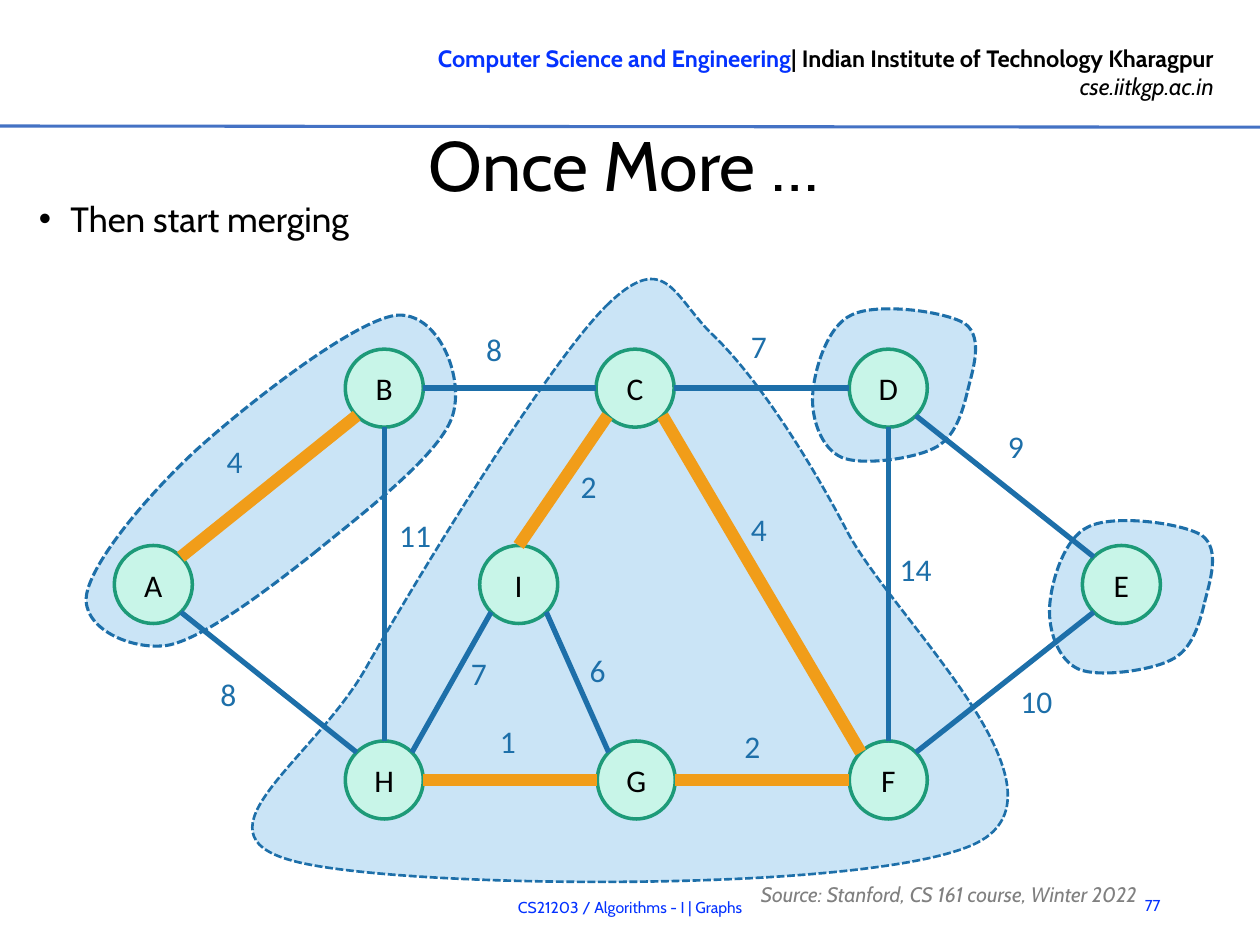
import math

import lxml.etree
import pptx
import pptx.dml.color
import pptx.enum.dml
import pptx.enum.shapes
import pptx.enum.text
import pptx.oxml.ns
import pptx.util

Pt = pptx.util.Pt
qn = pptx.oxml.ns.qn
ALIGN = pptx.enum.text.PP_ALIGN
MIDDLE = pptx.enum.text.MSO_ANCHOR.MIDDLE

BLACK, GREY, LINK_BLUE, RULE_BLUE = "000000", "808080", "0432FF", "4472C4"
EDGE_BLUE, TREE_ORANGE, CLUSTER_FILL = "1D6FA9", "F19D19", "CAE4F6"
NODE_FILL, NODE_LINE = "C8F5E8", "1D9A78"

RADIUS = 22.3
NODES = {
    "D": (459.6, 77.8), "C": (314.9, 77.8), "B": (171.6, 77.8),
    "A": (39.6, 190), "H": (171.6, 301.7), "G": (315.6, 301.7),
    "F": (459.6, 301.7), "I": (248.4, 190), "E": (592.8, 190),
}
SITES = ["E", "SE", "S", "SW", "W", "NW", "N", "NE"]

# start node, its site, end node, its site, weight, label position, in the tree
EDGES = [
    ("C", "SE", "F", "NW", "4", (374, 144), True),
    ("C", "E", "D", "W", "7", (374, 39.6), False),
    ("E", "NW", "D", "SE", "9", (520.8, 96.5), False),
    ("E", "SW", "F", "NE", "10", (528, 242), False),
    ("D", "S", "F", "N", "14", (459, 167), False),
    ("I", "SE", "G", "NW", "6", (281.8, 224.6), False),
    ("G", "E", "F", "W", "2", (370.3, 267.8), True),
    ("I", "N", "C", "SW", "2", (276.7, 119.5), True),
    ("B", "E", "C", "W", "8", (222.7, 41), False),
    ("A", "NE", "B", "SW", "4", (74.4, 105), True),
    ("A", "SE", "H", "NW", "8", (70.8, 238.3), False),
    ("G", "W", "H", "E", "1", (230.6, 265), True),
    ("I", "SW", "H", "NE", "7", (214, 226), False),
    ("H", "N", "B", "S", "11", (173, 147.6), False),
]

# Closed Bezier outlines: each third point lies on the curve
TRIANGLE = [
    (299.8, 29.5), (266.6, 61.2), (191, 185), (160.8, 238.3), (130.6, 290.9),
    (60, 331.9), (119, 347.8), (178.1, 364.3), (460.3, 367.2), (512.9, 336.2),
    (566.2, 304.6), (462.5, 208.8), (436.6, 160.6), (411.4, 112.3),
    (382.6, 69.8), (360.2, 48.2), (337.2, 26.6), (332.9, -2.2),
]
SINGLE = [
    (45.4, 1.4), (48.2, -10.1), (54.7, -28.8), (43.9, -36.8), (32.4, -44),
    (-6.5, -49), (-20.9, -41.8), (-35.3, -35.3), (-42.5, -9.4), (-43.2, 4.3),
    (-43.9, 18), (-38.2, 34.5), (-26.6, 39.6), (-15.1, 44.6), (14.4, 40.3),
    (25.9, 34.5), (38.2, 28.8), (42.5, 13.6),
]
PAIR = [
    (22, 37.1), (49.3, 14.8), (93.3, -18.4), (101.2, -40.7), (109.1, -63),
    (93.3, -101.9), (68.8, -99), (44.3, -95.4), (-15.5, -48.6), (-45, -22),
    (-73.8, 4.7), (-104.7, 42.1), (-107.6, 60.8), (-110.5, 79.6),
    (-82.4, 92.5), (-61.5, 89.6), (-41.4, 86), (-5.4, 58.7),
]
# outline, its anchor, line width, rotation
CLUSTERS = [
    (TRIANGLE, (0, 0), 1.5, 0),
    (SINGLE, (595, 198.8), 1.75, 0),
    (SINGLE, NODES["D"], 1.75, 0),
    (PAIR, (109.3, 135), 1.75, 46.6),
]


def rgb(colour):
    return pptx.dml.color.RGBColor.from_string(colour)


def write(para, text, size=18, colour=BLACK, font="Cabin", bold=False,
          italic=False, align=None):
    span = para.add_run()
    span.text = text
    span.font.size, span.font.name = Pt(size), font
    span.font.bold, span.font.italic = bold, italic
    span.font.color.rgb = rgb(colour)
    if align is not None:
        para.alignment = align


def add_text_box(page, box, text, anchor=None, line_spacing=None, **style):
    frame = page.shapes.add_textbox(*map(Pt, box)).text_frame
    frame.word_wrap = True
    if anchor is not None:
        frame.vertical_anchor = anchor
    para = frame.paragraphs[0]
    if line_spacing:
        para.line_spacing = Pt(line_spacing)
    write(para, text, **style)
    return frame


def add_line(page, start, end, colour, width):
    line = page.shapes.add_connector(
        pptx.enum.shapes.MSO_CONNECTOR.STRAIGHT, *map(Pt, (*start, *end)))
    line.line.color.rgb = rgb(colour)
    line.line.width = Pt(width)
    lxml.etree.SubElement(line._element.spPr, qn("a:effectLst"))


def paint(shape, fill, colour, width):
    shape.shadow.inherit = False
    shape.fill.solid()
    shape.fill.fore_color.rgb = rgb(fill)
    shape.line.color.rgb = rgb(colour)
    shape.line.width = Pt(width)


def add_header(page, box):
    left, top, width, height = box
    frame = add_text_box(page, (left + 190.8, top + 21.6, 509.8, 40.3),
                         "Computer Science and Engineering", size=13.5,
                         colour=LINK_BLUE, bold=True, align=ALIGN.RIGHT)
    frame.word_wrap = False
    write(frame.paragraphs[0], "| Indian Institute of Technology Kharagpur",
          size=13.5, bold=True)
    write(frame.add_paragraph(), "cse.iitkgp.ac.in", size=13.5, italic=True,
          align=ALIGN.RIGHT)
    bottom = top + height
    add_line(page, (left, bottom), (left + width, bottom + 0.7), RULE_BLUE, 1.75)


def place(holder, box):
    holder.left, holder.top, holder.width, holder.height = map(Pt, box)
    frame = holder.text_frame
    frame.auto_size = pptx.enum.text.MSO_AUTO_SIZE.NONE
    return frame


def fill_title(page, box):
    frame = place(page.shapes.title, box)
    frame.margin_left = frame.margin_right = frame.margin_bottom = 0
    frame.margin_top = Pt(0.7)
    frame.vertical_anchor = MIDDLE
    write(frame.paragraphs[0], "Once More …", size=40, align=ALIGN.CENTER)


def fill_body(page, box):
    para = place(page.placeholders[1], box).paragraphs[0]
    settings = para._p.get_or_add_pPr()
    settings.set("marL", str(Pt(18)))
    settings.set("indent", str(-Pt(18)))
    para.space_before = Pt(0)
    para.space_after = Pt(2)
    para.line_spacing = Pt(17)
    write(para, "Then start merging", size=20)


def turn(point, degrees):
    x, y = point
    cos, sin = math.cos(math.radians(degrees)), math.sin(math.radians(degrees))
    return x * cos - y * sin, x * sin + y * cos


def bezier_point(corners, t):
    weights = [math.comb(3, i) * t**i * (1 - t)**(3 - i) for i in range(4)]
    return [round(sum(w * corner[axis] for w, corner in zip(weights, corners)))
            for axis in (0, 1)]


def add_cluster(page, origin, outline, width, rotation):
    """Size a freeform to the curve's extent, then give it Bezier segments."""
    upright = [turn(point, -rotation) for point in outline]
    points = [(Pt(origin[0] + x), Pt(origin[1] + y)) for x, y in upright]
    closed = points + points[:1]
    curves = [closed[first:first + 4] for first in range(0, len(points), 3)]
    extent = [bezier_point(corners, step / 16)
              for corners in curves for step in range(16)]
    builder = page.shapes.build_freeform(*extent[0])
    builder.add_line_segments(extent[1:], close=True)
    cluster = builder.convert_to_shape()

    def add_point(parent, point):
        lxml.etree.SubElement(parent, qn("a:pt"), x=str(point[0] - cluster.left),
                              y=str(point[1] - cluster.top))

    contour = cluster._element.find(".//" + qn("a:path"))
    for segment in list(contour):
        contour.remove(segment)
    add_point(lxml.etree.SubElement(contour, qn("a:moveTo")), points[0])
    for corners in curves:
        curve = lxml.etree.SubElement(contour, qn("a:cubicBezTo"))
        for corner in corners[1:]:
            add_point(curve, corner)
    lxml.etree.SubElement(contour, qn("a:close"))
    cluster.rotation = rotation
    paint(cluster, CLUSTER_FILL, EDGE_BLUE, width)
    cluster.line.dash_style = pptx.enum.dml.MSO_LINE.SQUARE_DOT


def add_node(page, centre, name):
    x, y = centre
    node = page.shapes.add_shape(
        pptx.enum.shapes.MSO_SHAPE.OVAL,
        *map(Pt, (x - RADIUS, y - RADIUS, 2 * RADIUS, 2 * RADIUS)))
    paint(node, NODE_FILL, NODE_LINE, 2)
    node.text_frame.vertical_anchor = MIDDLE
    write(node.text_frame.paragraphs[0], name, font="Calibri", align=ALIGN.CENTER)


def add_graph(page, box):
    left, top = box[:2]

    def shift(point):
        return left + point[0], top + point[1]

    def site_point(name, site):
        x, y = turn((RADIUS, 0), 45 * SITES.index(site))
        return shift((NODES[name][0] + x, NODES[name][1] + y))

    for outline, anchor, width, rotation in CLUSTERS:
        add_cluster(page, shift(anchor), outline, width, rotation)
    for name, centre in NODES.items():
        add_node(page, shift(centre), name)
    for start, start_site, end, end_site, weight, label, in_tree in EDGES:
        colour, width = (TREE_ORANGE, 7) if in_tree else (EDGE_BLUE, 3)
        add_line(page, site_point(start, start_site), site_point(end, end_site),
                 colour, width)
        add_text_box(page, (*shift(label), 62, 36), weight,
                     colour=EDGE_BLUE, font="Calibri")


def add_footer(page, box):
    left, top = box[:2]
    add_text_box(page, (left + 635, top + 3.6, 35.3, 29), "77", anchor=MIDDLE,
                 size=9, colour=LINK_BLUE, align=ALIGN.RIGHT)
    add_text_box(page, (left + 119, top + 5, 482, 29),
                 "CS21203 / Algorithms - I | Graphs", anchor=MIDDLE, size=9,
                 colour=LINK_BLUE, align=ALIGN.CENTER)
    add_text_box(page, (left + 427.7, top, 289.4, 16.6),
                 "Source: Stanford, CS 161 course, Winter 2022", anchor=MIDDLE,
                 line_spacing=21.3, size=12, colour=GREY, italic=True)


def main():
    deck = pptx.Presentation()
    deck.slide_width, deck.slide_height = Pt(720), Pt(540)
    page = deck.slides.add_slide(deck.slide_layouts[1])
    add_header(page, (0, 0, 720, 72))
    fill_title(page, (23, 68.4, 667, 49))
    fill_body(page, (15, 116, 675, 29))
    add_footer(page, (0, 499, 720, 41))
    add_graph(page, (48, 144, 648, 360))
    deck.save("out.pptx")


if __name__ == "__main__":
    main()
